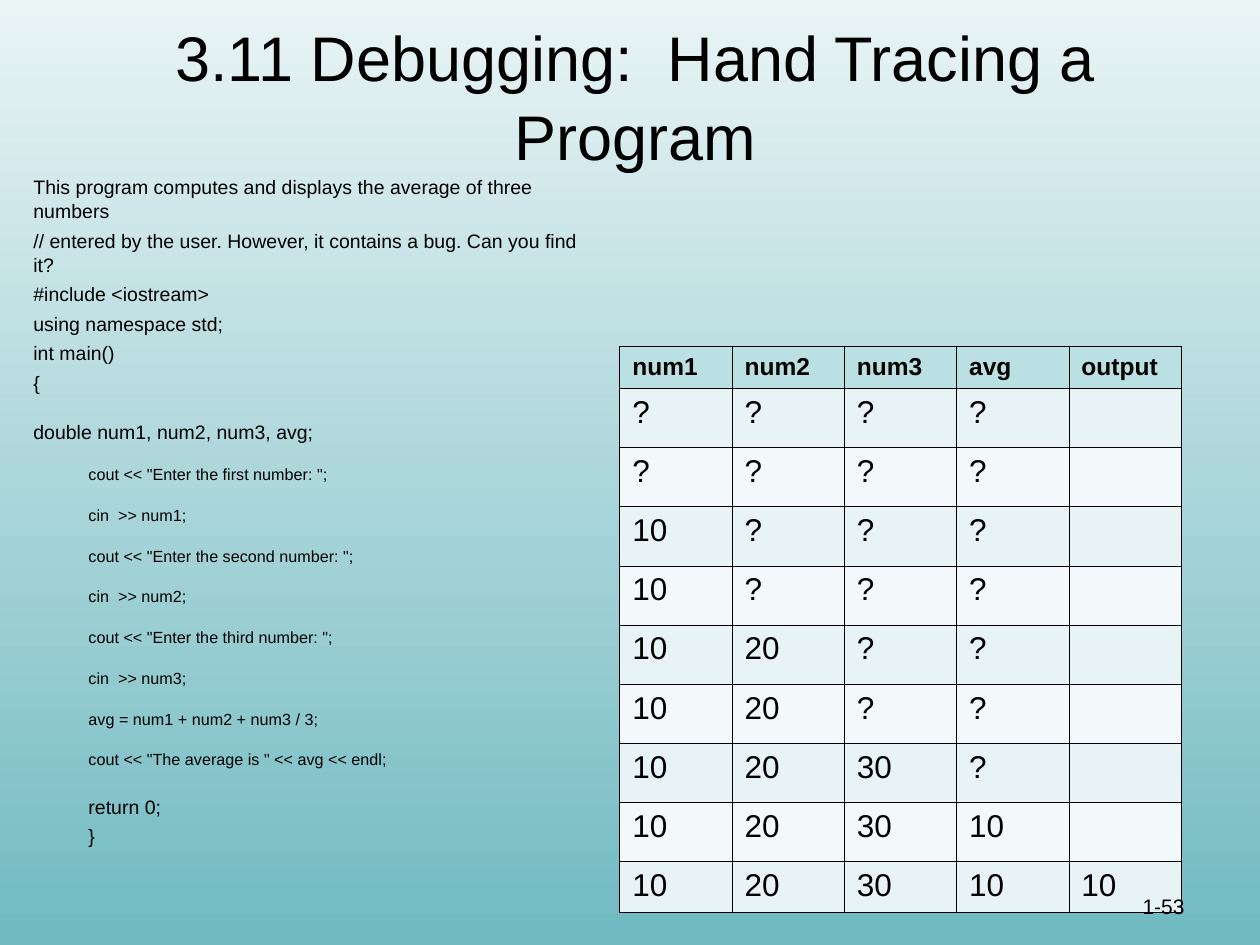
from lxml.etree import SubElement
from pptx import Presentation
from pptx.dml.color import RGBColor
from pptx.enum.text import MSO_ANCHOR as Anchor, PP_ALIGN as Align
from pptx.oxml.ns import qn
from pptx.util import Pt

FONT = "Arial"
BLACK = RGBColor(0x00, 0x00, 0x00)
TEAL = RGBColor(0x71, 0xBA, 0xC1)
PALE_TEAL = RGBColor(0xE9, 0xF4, 0xF5)
HEADER_FILL = RGBColor(0xBB, 0xE0, 0xE3)
ROW_FILLS = (RGBColor(0xE7, 0xF3, 0xF4), RGBColor(0xF3, 0xF9, 0xFA))

SINGLE, LOOSE = 1.04, 1.88
CODE_INDENT = 31.5

INTRO = [
    "This program computes and displays the average of three numbers",
    "// entered by the user. However, it contains a bug. Can you find it?",
    "#include <iostream>",
    "using namespace std;",
    "int main()",
    "{",
]
STATEMENTS = [
    'cout << "Enter the first number: ";',
    "cin  >> num1;",
    'cout << "Enter the second number: ";',
    "cin  >> num2;",
    'cout << "Enter the third number: ";',
    "cin  >> num3;",
    "avg = num1 + num2 + num3 / 3;",
    'cout << "The average is " << avg << endl;',
]
# Each line: text, size, line spacing, left indent
PROGRAM = (
    [(text, 11.1, SINGLE, 0) for text in INTRO]
    + [("double num1, num2, num3, avg;", 11.1, LOOSE, 0)]
    + [(text, 9.2, LOOSE, CODE_INDENT) for text in STATEMENTS]
    + [("return 0;", 11.1, LOOSE, CODE_INDENT), ("}", 11.1, SINGLE, CODE_INDENT)]
)

HEADERS = ["num1", "num2", "num3", "avg", "output"]
TRACE = [
    ["?", "?", "?", "?", ""],
    ["?", "?", "?", "?", ""],
    ["10", "?", "?", "?", ""],
    ["10", "?", "?", "?", ""],
    ["10", "20", "?", "?", ""],
    ["10", "20", "?", "?", ""],
    ["10", "20", "30", "?", ""],
    ["10", "20", "30", "10", ""],
    ["10", "20", "30", "10", "10"],
]
COLUMN_WIDTH = 64.15
ROW_HEIGHTS = [24] + [33.8] * (len(TRACE) - 1) + [29]


def set_font(paragraph, size, bold=False):
    font = paragraph.font
    font.name = FONT
    font.size = Pt(size)
    font.bold = bold
    font.color.rgb = BLACK


def paint_background(slide):
    fill = slide.background.fill
    fill.gradient()
    fill.gradient_angle = 90
    for stop, position, color in zip(fill.gradient_stops, (0, 1), (TEAL, PALE_TEAL)):
        stop.position = position
        stop.color.rgb = color


def add_text_frame(slide, left, top, width, height, anchor=Anchor.TOP):
    box = slide.shapes.add_textbox(Pt(left), Pt(top), Pt(width), Pt(height))
    frame = box.text_frame
    frame.word_wrap = True
    frame.vertical_anchor = anchor
    return frame


def add_label(slide, bounds, text, size, align):
    """Add one bottom-anchored paragraph."""
    paragraph = add_text_frame(slide, *bounds, anchor=Anchor.BOTTOM).paragraphs[0]
    paragraph.text = text
    paragraph.alignment = align
    paragraph.line_spacing = SINGLE
    set_font(paragraph, size)


def add_program(slide):
    frame = add_text_frame(slide, 12, 96, 320.4, 360)
    frame.margin_right = 0
    for index, (text, size, spacing, indent) in enumerate(PROGRAM):
        paragraph = frame.add_paragraph() if index else frame.paragraphs[0]
        paragraph.text = text
        paragraph.line_spacing = spacing
        if index:
            paragraph.space_before = Pt(3 if size > 10 else 2.5)
        if indent:
            properties = paragraph._p.get_or_add_pPr()
            properties.set("marL", str(Pt(indent)))
            properties.set("indent", "0")
        set_font(paragraph, size)


def add_borders(cell):
    properties = cell._tc.get_or_add_tcPr()
    for side in ("lnL", "lnR", "lnT", "lnB"):
        line = SubElement(properties, qn(f"a:{side}"), w=str(Pt(0.45)))
        fill = SubElement(line, qn("a:solidFill"))
        SubElement(fill, qn("a:srgbClr"), val=str(BLACK))


def add_trace_table(slide):
    rows = [HEADERS] + TRACE
    shape = slide.shapes.add_table(
        len(rows), len(HEADERS), Pt(354.2), Pt(198),
        Pt(COLUMN_WIDTH * len(HEADERS)), Pt(sum(ROW_HEIGHTS)),
    )
    table = shape.table
    table.horz_banding = False
    for column in table.columns:
        column.width = Pt(COLUMN_WIDTH)
    for row_index, values in enumerate(rows):
        is_header = row_index == 0
        table.rows[row_index].height = Pt(ROW_HEIGHTS[row_index])
        for column_index, value in enumerate(values):
            cell = table.cell(row_index, column_index)
            cell.text = value
            add_borders(cell)
            cell.fill.solid()
            cell.fill.fore_color.rgb = (
                HEADER_FILL if is_header else ROW_FILLS[(row_index - 1) % 2]
            )
            set_font(cell.text_frame.paragraphs[0], 14 if is_header else 18, is_header)


def main():
    presentation = Presentation()
    presentation.slide_width, presentation.slide_height = Pt(720), Pt(540)
    slide = presentation.slides.add_slide(presentation.slide_layouts[6])
    paint_background(slide)
    add_label(slide, (24, 24, 678, 78.5),
              "3.11 Debugging:  Hand Tracing a Program", 36, Align.CENTER)
    add_program(slide)
    add_trace_table(slide)
    add_label(slide, (534, 492.5, 150, 36), "1-53", 12, Align.RIGHT)
    presentation.save("out.pptx")


if __name__ == "__main__":
    main()
